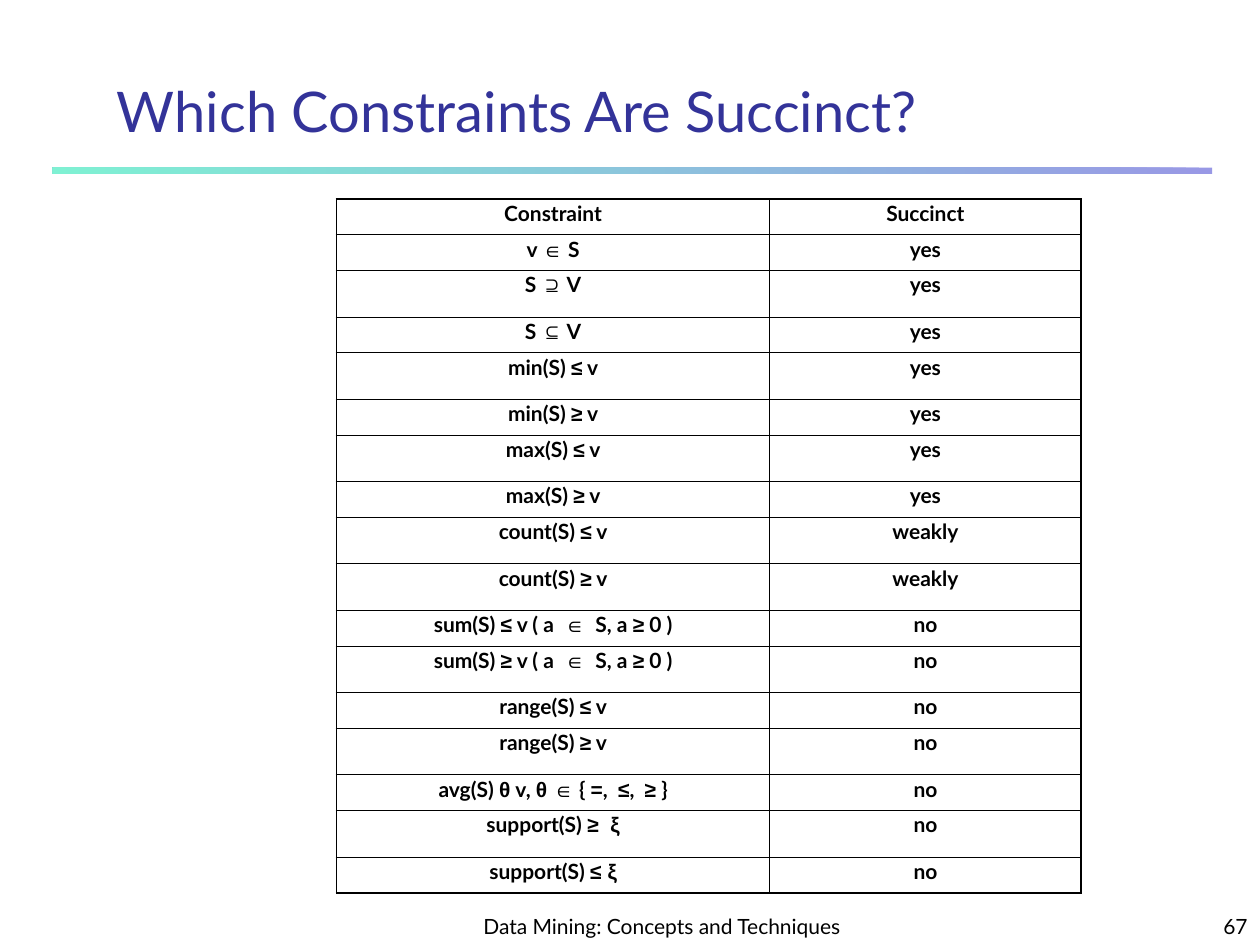
import pptx
import pptx.dml.color
import pptx.enum.shapes
import pptx.enum.text
import pptx.oxml.ns
import pptx.util
from lxml import etree

Inches = pptx.util.Inches
Pt = pptx.util.Pt
RGBColor = pptx.dml.color.RGBColor
PP_ALIGN = pptx.enum.text.PP_ALIGN
qn = pptx.oxml.ns.qn

BLACK = RGBColor(0x00, 0x00, 0x00)
NAVY = RGBColor(0x33, 0x33, 0x99)
BLUE = RGBColor(0x33, 0x33, 0xCC)
MINT = RGBColor(0x00, 0xE4, 0xA8)
TEXT_FONT = "Lato"
SYMBOL_FONT = "Arial"

COLUMN_WIDTHS = (3.44, 2.47)
TABLE_HEIGHT = 5.51
TALL_HEIGHT = 0.37
TALL_ROWS = {2, 4, 6, 8, 9, 11, 13, 15}
OUTER_LINE = 1.08
INNER_LINE = 0.45

# Bars switch between the text font and the symbol font.
CONSTRAINTS = [
    ("Constraint", "Succinct"),
    ("v |∈| S", "yes"),
    ("S |⊇| V", "yes"),
    ("S |⊆| V", "yes"),
    ("min(S) |≤| v", "yes"),
    ("min(S) |≥| v", "yes"),
    ("max(S) |≤| v", "yes"),
    ("max(S) |≥| v", "yes"),
    ("count(S) |≤| v", "weakly"),
    ("count(S) |≥| v", "weakly"),
    ("sum(S) |≤| v ( a  |∈|  S, a |≥| 0 )", "no"),
    ("sum(S) |≥| v ( a  |∈|  S, a |≥| 0 )", "no"),
    ("range(S) |≤| v", "no"),
    ("range(S) |≥| v", "no"),
    ("avg(S) |θ| v, |θ ∈| { |=|,  |≤|,  |≥| }", "no"),
    ("support(S) |≥  ξ", "no"),
    ("support(S) |≤ ξ", "no"),
]


def write_text(frame, text, size=12, color=BLACK, bold=False,
               align=PP_ALIGN.LEFT, line_spacing=None):
    para = frame.paragraphs[0]
    para.alignment = align
    para.line_spacing = line_spacing
    for index, part in enumerate(text.split("|")):
        span = para.add_run()
        span.text = part
        span.font.name = SYMBOL_FONT if index % 2 else TEXT_FONT
        span.font.size = Pt(size)
        span.font.bold = bold
        span.font.color.rgb = color


def draw_border(cell, side, width):
    line = etree.SubElement(cell._tc.get_or_add_tcPr(), qn(f"a:{side}"), w=str(Pt(width)))
    fill = etree.SubElement(line, qn("a:solidFill"))
    etree.SubElement(fill, qn("a:srgbClr"), val=str(BLACK))


class SlideBuilder:
    def __init__(self, deck):
        self.page = deck.slides.add_slide(deck.slide_layouts[6])

    def add_text(self, left, top, width, height, text, **style):
        box = self.page.shapes.add_textbox(
            Inches(left), Inches(top), Inches(width), Inches(height))
        box.text_frame.word_wrap = True
        box.text_frame.vertical_anchor = pptx.enum.text.MSO_ANCHOR.BOTTOM
        write_text(box.text_frame, text, **style)

    def add_gradient_bar(self, left, top, width, height, colors, alpha):
        bar = self.page.shapes.add_shape(
            pptx.enum.shapes.MSO_SHAPE.RECTANGLE,
            Inches(left), Inches(top), Inches(width), Inches(height))
        bar.shadow.inherit = False
        bar.line.fill.background()
        bar.fill.gradient()
        bar.fill.gradient_angle = 180
        for stop, color in zip(bar.fill.gradient_stops, colors):
            stop.color.rgb = color
        for tint in bar._element.spPr.iter(qn("a:srgbClr")):
            etree.SubElement(tint, qn("a:alpha"), val=str(alpha * 1000))

    def add_table(self, left, top, rows):
        last_row, last_column = len(rows) - 1, len(COLUMN_WIDTHS) - 1
        short_height = ((TABLE_HEIGHT - TALL_HEIGHT * len(TALL_ROWS))
                        / (len(rows) - len(TALL_ROWS)))
        table = self.page.shapes.add_table(
            len(rows), len(COLUMN_WIDTHS), Inches(left), Inches(top),
            Inches(sum(COLUMN_WIDTHS)), Inches(TABLE_HEIGHT)).table
        table.first_row = table.horz_banding = False
        for column, width in zip(table.columns, COLUMN_WIDTHS):
            column.width = Inches(width)
        for r, texts in enumerate(rows):
            table.rows[r].height = Inches(TALL_HEIGHT if r in TALL_ROWS else short_height)
            for c, text in enumerate(texts):
                cell = table.cell(r, c)
                write_text(cell.text_frame, text, bold=True,
                           align=PP_ALIGN.CENTER, line_spacing=0.8)
                edges = {"lnL": c == 0, "lnR": c == last_column,
                         "lnT": r == 0, "lnB": r == last_row}
                for side, is_outer in edges.items():
                    draw_border(cell, side, OUTER_LINE if is_outer else INNER_LINE)
                cell.fill.background()


def main():
    deck = pptx.Presentation()
    deck.slide_width = Inches(10)
    deck.slide_height = Inches(7.5)
    slide = SlideBuilder(deck)
    slide.add_gradient_bar(0.42, 1.33, 9.2, 0.05, (BLUE, MINT), alpha=50)
    slide.add_text(0.83, 0.5, 8.52, 0.69, "Which Constraints Are Succinct?",
                   size=32, color=NAVY)
    slide.add_table(2.67, 1.58, CONSTRAINTS)
    slide.add_text(3.67, 7.08, 3.17, 0.42, "Data Mining: Concepts and Techniques",
                   align=PP_ALIGN.CENTER)
    slide.add_text(7.92, 7.08, 2.08, 0.42, "67", align=PP_ALIGN.RIGHT)
    deck.save("out.pptx")


if __name__ == "__main__":
    main()
